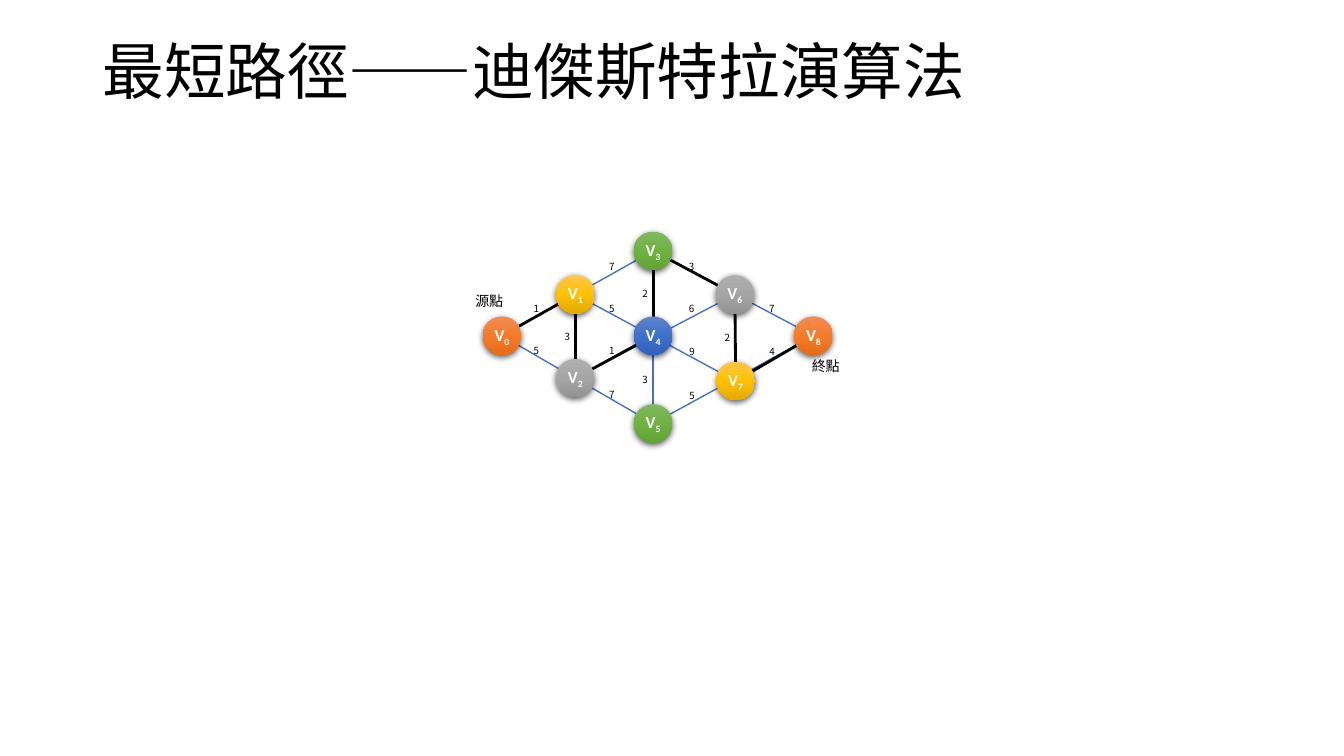
import copy
import dataclasses

import lxml.etree
import pptx
import pptx.dml.color
import pptx.enum.shapes
import pptx.enum.text
import pptx.oxml.ns
import pptx.util

Cm = pptx.util.Cm
Pt = pptx.util.Pt
qn = pptx.oxml.ns.qn
MIDDLE = pptx.enum.text.MSO_ANCHOR.MIDDLE
LEFT = pptx.enum.text.PP_ALIGN.LEFT
CENTER = pptx.enum.text.PP_ALIGN.CENTER


@dataclasses.dataclass(frozen=True)
class Theme:
    """Colours, fonts and type sizes of the slide."""
    black: str = "000000"
    white: str = "FFFFFF"
    street: str = "4472C4"
    orange: tuple = ("F18C57", "F67B28", "E56C19")
    yellow: tuple = ("FFC64B", "FFC000", "E3AB00")
    gray: tuple = ("AFAFAF", "A5A5A5", "939393")
    green: tuple = ("81B861", "6FB242", "62A336")
    blue: tuple = ("6183CB", "3E70CA", "3062BB")
    text_font: str = "Noto Sans CJK SC"
    vertex_font: str = "Calibri"
    title_size: int = 44
    vertex_size: int = 12
    label_size: int = 10
    weight_size: int = 7


THEME = Theme()
TITLE_BOX = (2.33, 0.03, 29.21, 3.68)
GRAPH_BOX = (11.68, 5.84, 9.78, 5.31)
DIAMETER = 0.97

VERTICES = [
    (0.97, 2.62, THEME.orange),
    (2.82, 1.58, THEME.yellow),
    (2.82, 3.69, THEME.gray),
    (4.78, 0.48, THEME.green),
    (4.78, 2.62, THEME.blue),
    (4.78, 4.83, THEME.green),
    (6.84, 1.58, THEME.gray),
    (6.86, 3.76, THEME.yellow),
    (8.82, 2.62, THEME.orange),
]
STREETS = [(8, 5), (6, 7), (3, 8), (3, 5), (6, 2), (1, 2), (3, 0), (5, 0), (7, 1)]
SHORTEST_PATH = [(8, 7), (4, 2), (1, 0), (6, 7), (1, 2), (3, 6), (3, 4)]
WEIGHTS = {
    (0, 1): 1, (0, 2): 5, (1, 2): 3, (1, 3): 7, (1, 4): 5, (2, 4): 1,
    (2, 5): 7, (3, 4): 2, (3, 6): 3, (4, 5): 3, (4, 6): 6, (4, 7): 9,
    (5, 7): 5, (6, 7): 2, (6, 8): 7, (7, 8): 4,
}
ENDPOINTS = [("源點", 0.65, 1.74), ("終點", 9.13, 3.37)]


def rgb(code):
    """Turn a hex code into a colour."""
    return pptx.dml.color.RGBColor.from_string(code)


def apply(target, values):
    """Set every attribute in a dict of format values."""
    for name, value in values.items():
        setattr(target, name, value)


def add_span(para, text, size, color, font, bold=False):
    """Append formatted text to a paragraph and return it."""
    span = para.add_run()
    span.text = text
    span.font.color.rgb = rgb(color)
    apply(span.font, {"size": Pt(size), "bold": bold, "name": font})
    properties = span.font._element
    lxml.etree.SubElement(properties, qn("a:ea"), typeface=font)
    return span


def tight_frame(frame):
    """Centre a text frame's only paragraph without insets and return it."""
    apply(frame, {
        "margin_left": 0, "margin_right": 0, "margin_top": 0, "margin_bottom": 0,
        "word_wrap": True, "vertical_anchor": MIDDLE,
    })
    para = frame.paragraphs[0]
    para.alignment = CENTER
    return para


def add_label(page, x, y, text, size):
    """Write a small label centred on a point."""
    width, height = 1.3, 0.6
    box = page.shapes.add_textbox(
        Cm(x - width / 2), Cm(y - height / 2), Cm(width), Cm(height))
    add_span(tight_frame(box.text_frame), text, size, THEME.black, THEME.text_font)


def add_edge(page, start, end, color, width):
    """Draw a straight edge between two points."""
    edge = page.shapes.add_connector(
        pptx.enum.shapes.MSO_CONNECTOR.STRAIGHT, *map(Cm, start + end))
    edge.line.color.rgb = rgb(color)
    edge.line.width = Pt(width)
    lxml.etree.SubElement(edge._element.spPr, qn("a:effectLst"))


def shade(shape, colors):
    """Fill a shape with a vertical three-stop gradient and a soft shadow."""
    shape.fill.gradient()
    shape.fill.gradient_angle = 270
    stops = shape._element.spPr.find(".//" + qn("a:gsLst"))
    stops.insert(1, copy.deepcopy(stops[0]))
    for index, (stop, color) in enumerate(zip(shape.fill.gradient_stops, colors)):
        stop.position = index / 2
        stop.color.rgb = rgb(color)
    shape.line.fill.background()
    shape.shadow.inherit = False
    effects = shape._element.spPr.find(qn("a:effectLst"))
    shadow = lxml.etree.SubElement(
        effects, qn("a:outerShdw"), blurRad=str(Pt(4.5)), dist=str(Pt(1.5)),
        dir="5400000", algn="ctr", rotWithShape="0")
    tint = lxml.etree.SubElement(shadow, qn("a:srgbClr"), val=THEME.black)
    lxml.etree.SubElement(tint, qn("a:alpha"), val="63000")


def add_vertex(page, x, y, number, colors):
    """Draw a numbered vertex centred on a point."""
    vertex = page.shapes.add_shape(
        pptx.enum.shapes.MSO_SHAPE.OVAL, Cm(x - DIAMETER / 2),
        Cm(y - DIAMETER / 2), Cm(DIAMETER), Cm(DIAMETER))
    shade(vertex, colors)
    para = tight_frame(vertex.text_frame)
    vertex.text_frame.word_wrap = False
    style = (THEME.vertex_size, THEME.white, THEME.vertex_font, True)
    add_span(para, "V", *style)
    subscript = add_span(para, str(number), *style)
    subscript.font._element.set("baseline", "-25000")


def add_title(page, box, text):
    """Place the slide title in its box."""
    title = page.shapes.title
    apply(title, dict(zip(("left", "top", "width", "height"), map(Cm, box))))
    apply(title.text_frame, {
        "vertical_anchor": MIDDLE, "word_wrap": True,
        "auto_size": pptx.enum.text.MSO_AUTO_SIZE.NONE,
    })
    para = title.text_frame.paragraphs[0]
    apply(para, {"alignment": LEFT, "line_spacing": 0.9})
    add_span(para, text, THEME.title_size, THEME.black, THEME.text_font)


def add_graph(page, box):
    """Draw the weighted graph with its shortest path inside a box."""
    left, top = box[:2]
    centers = [(left + x, top + y) for x, y, colors in VERTICES]
    for pairs, color, width in (
            (STREETS, THEME.street, 1), (SHORTEST_PATH, THEME.black, 2)):
        for start, end in pairs:
            add_edge(page, centers[start], centers[end], color, width)
    for number, (x, y, colors) in enumerate(VERTICES):
        add_vertex(page, left + x, top + y, number, colors)
    for (start, end), weight in WEIGHTS.items():
        (x1, y1), (x2, y2) = centers[start], centers[end]
        upright = abs(x1 - x2) < 0.1
        shift_x, shift_y = (-0.2, 0) if upright else (-0.06, -0.16)
        add_label(page, (x1 + x2) / 2 + shift_x, (y1 + y2) / 2 + shift_y,
                  str(weight), THEME.weight_size)
    for name, x, y in ENDPOINTS:
        add_label(page, left + x, top + y, name, THEME.label_size)


def main():
    """Build the deck and save it."""
    deck = pptx.Presentation()
    apply(deck, {"slide_width": Cm(33.87), "slide_height": Cm(19.05)})
    page = deck.slides.add_slide(deck.slide_layouts[5])
    add_title(page, TITLE_BOX, "最短路徑——迪傑斯特拉演算法")
    add_graph(page, GRAPH_BOX)
    deck.save("out.pptx")


if __name__ == "__main__":
    main()
